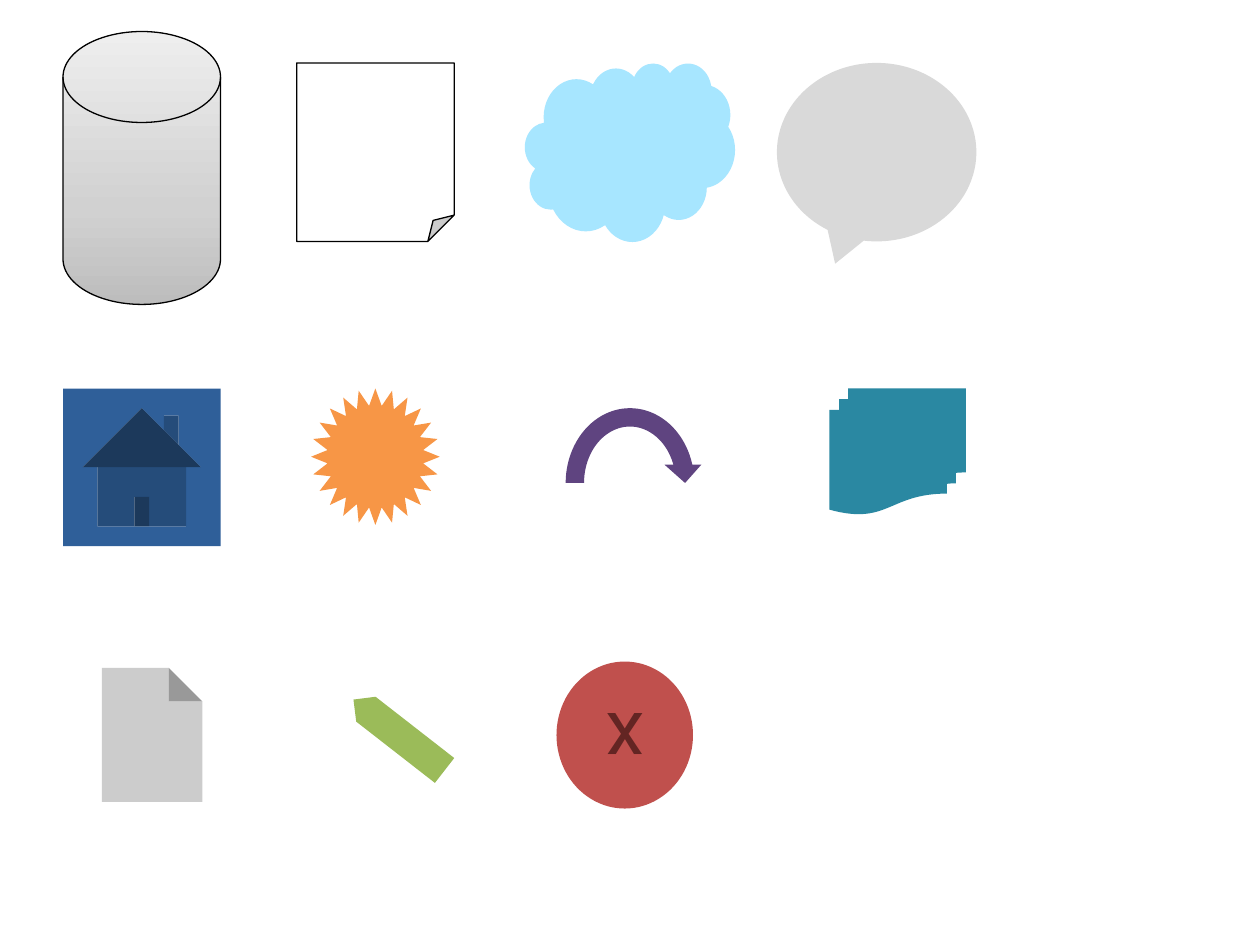
"""Build a slide with a gallery of eleven preset shapes."""
from copy import deepcopy

from pptx import Presentation
from pptx.dml.color import RGBColor
from pptx.enum.shapes import MSO_SHAPE as Preset
from pptx.enum.text import MSO_ANCHOR as Anchor, PP_ALIGN as Align
from pptx.oxml.ns import qn
from pptx.util import Pt

COLORS = {
    "black": "000000", "white": "FFFFFF", "sky": "A7E6FF", "gray": "D9D9D9",
    "blue": "2F5F99", "orange": "F79646", "purple": "5F4480", "teal": "2A88A2",
    "green": "9BBB59", "red": "C0504D", "maroon": "632523",
    "disk_dark": "BDBDBD", "disk_mid": "D1D1D1", "disk_light": "EEEEEE",
}
DISK_STOPS = [(0, "disk_dark"), (0.35, "disk_mid"), (1, "disk_light")]
GALLERY = [
    (Preset.FLOWCHART_MAGNETIC_DISK, (36, 18, 90, 156), None, "black", 0),
    (Preset.FOLDED_CORNER, (169.5, 36, 90, 102), "white", "black", 0),
    (Preset.CLOUD, (300, 36, 120, 102), "sky", None, 0),
    (Preset.OVAL_CALLOUT, (444, 36, 114, 102), "gray", None, 0),
    (Preset.ACTION_BUTTON_HOME, (36, 222, 90, 90), "blue", None, 0),
    (Preset.STAR_24_POINT, (177.75, 222, 73.5, 78), "orange", None, 0),
    (Preset.CIRCULAR_ARROW, (318, 228, 84, 96), "purple", None, 0),
    (Preset.FLOWCHART_MULTIDOCUMENT, (474, 222, 78, 72), "teal", None, 0),
    (Preset.ACTION_BUTTON_DOCUMENT, (36, 366, 102, 108), "white", None, 0),
    (Preset.PENTAGON, (195, 411, 66, 18), "green", None, 217.9),
    (Preset.OVAL, (318, 378, 78, 84), "red", None, 180),
]
CROSS_FRAME = {
    "vertical_anchor": Anchor.BOTTOM, "word_wrap": True,
    "margin_left": Pt(7.2), "margin_right": Pt(7.2),
    "margin_top": Pt(0), "margin_bottom": Pt(8.64),
}


def rgb(name):
    return RGBColor.from_string(COLORS[name])


def fill_gradient(shape, stops, angle):
    shape.fill.gradient()
    shape.fill.gradient_angle = angle
    stop_list = shape._element.spPr.find(qn("a:gradFill")).find(qn("a:gsLst"))
    for _ in range(len(stops) - len(stop_list)):
        stop_list.append(deepcopy(stop_list[0]))
    for stop, (position, color) in zip(shape.fill.gradient_stops, stops):
        stop.position = position
        stop.color.rgb = rgb(color)


def add_preset(slide, preset, box, fill, line, rotation):
    shape = slide.shapes.add_shape(preset, *map(Pt, box))
    shape.shadow.inherit = False
    shape.rotation = rotation
    if fill:
        shape.fill.solid()
        shape.fill.fore_color.rgb = rgb(fill)
    else:
        fill_gradient(shape, DISK_STOPS, 90)
    if line:
        shape.line.color.rgb = rgb(line)
        shape.line.width = Pt(0.75)
    else:
        shape.line.fill.background()
    return shape


def add_cross(badge):
    frame = badge.text_frame
    for key, value in CROSS_FRAME.items():
        setattr(frame, key, value)
    paragraph = frame.paragraphs[0]
    paragraph.alignment = Align.CENTER
    cross = paragraph.add_run()
    cross.text = "x"
    cross.font.name, cross.font.size = "Roboto", Pt(44.4)
    cross.font.color.rgb = rgb("maroon")


deck = Presentation()
deck.slide_width, deck.slide_height = Pt(720), Pt(540)
slide = deck.slides.add_slide(deck.slide_layouts[6])
presets = [add_preset(slide, *entry) for entry in GALLERY]
add_cross(presets[-1])
deck.save("out.pptx")
